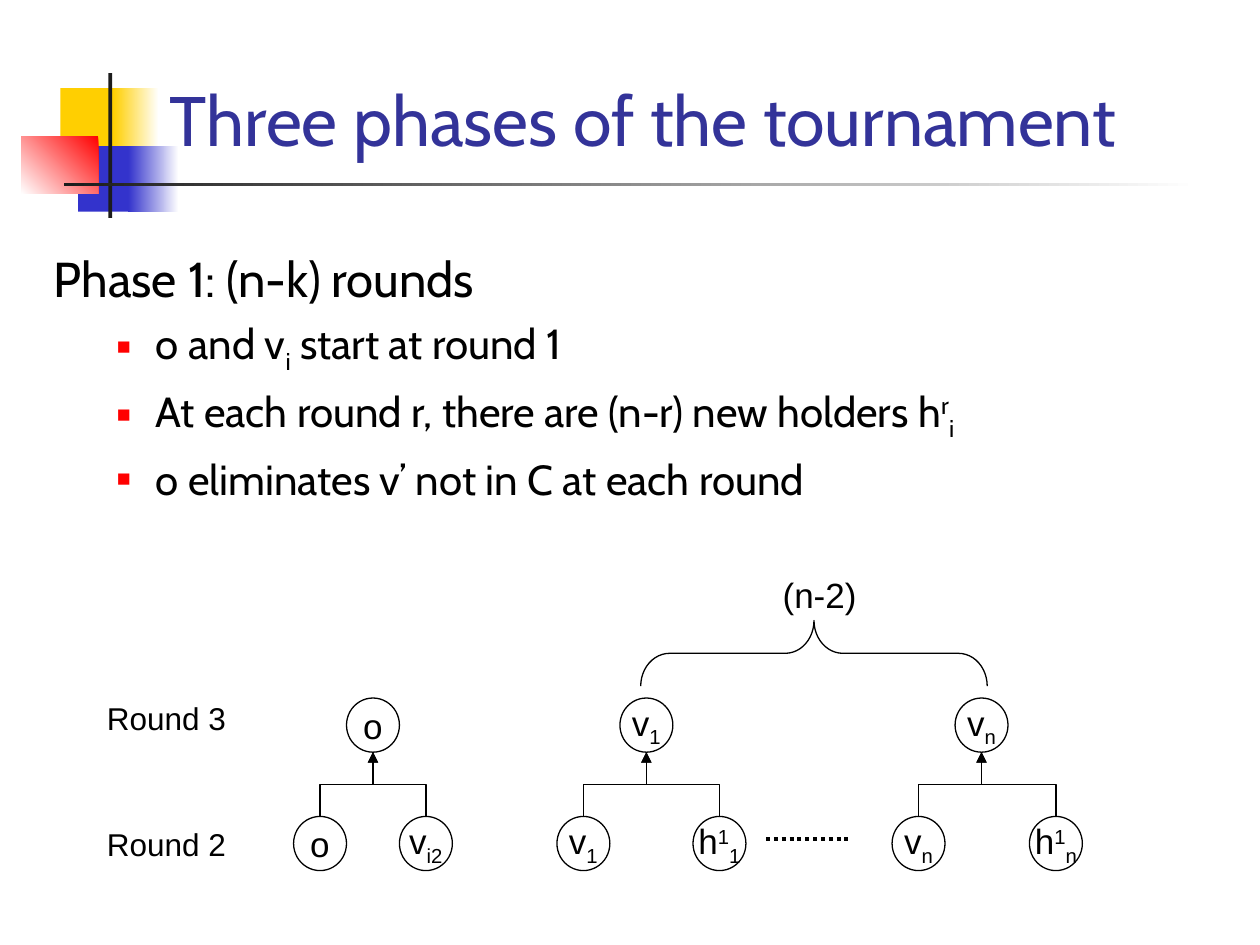
from lxml import etree
from pptx import Presentation
from pptx.dml.color import RGBColor
from pptx.enum.dml import MSO_LINE
from pptx.enum.shapes import MSO_CONNECTOR, MSO_SHAPE
from pptx.enum.text import MSO_ANCHOR, PP_ALIGN
from pptx.oxml.ns import qn
from pptx.util import Inches, Pt

RECTANGLE, OVAL, BRACE = MSO_SHAPE.RECTANGLE, MSO_SHAPE.OVAL, MSO_SHAPE.LEFT_BRACE
STRAIGHT, ELBOW = MSO_CONNECTOR.STRAIGHT, MSO_CONNECTOR.ELBOW
DOTTED = MSO_LINE.ROUND_DOT
TOP, MIDDLE, BOTTOM = MSO_ANCHOR.TOP, MSO_ANCHOR.MIDDLE, MSO_ANCHOR.BOTTOM
LEFT, CENTER = PP_ALIGN.LEFT, PP_ALIGN.CENTER

COLORS = {
    "text": "000000", "title": "333399", "bullet": "FF0000", "white": "FFFFFF",
    "yellow": "FFCF01", "blue": "3333CC", "red": "FF0000", "bar": "1C1C1C",
}
HEADING_FONT, LABEL_FONT = "Cabin", "Arial"
SUB, SUPER = -25000, 30000

NODE_WIDTH, NODE_HEIGHT = 0.42, 0.43
ROUND_3_TOP, ROUND_2_TOP = 5.54, 6.48

V1 = [("v", 0), ("1", SUB)]
VN = [("v", 0), ("n", SUB)]
# Winner, left player, right player: each is (left edge, text runs)
MATCHES = [
    ((2.75, [("o", 0)]), (2.33, [("o", 0)]), (3.17, [("v", 0), ("i2", SUB)])),
    ((4.92, V1), (4.42, V1), (5.5, [("h", 0), ("1", SUPER), ("1", SUB)])),
    ((7.58, VN), (7.08, VN), (8.17, [("h", 0), ("1", SUPER), ("n", SUB)])),
]
POINTS = [
    [("o and v", 0), ("i", SUB), (" start at round 1", 0)],
    [("At each round r, there are (n-r) new holders h", 0), ("r", SUPER), ("i", SUB)],
    [("o eliminates v’ not in C at each round", 0)],
]


def rgb(name):
    return RGBColor.from_string(COLORS[name])


class Painter:
    def __init__(self, page):
        self.page = page

    def block(self, left, top, width, height, color):
        box = self.page.shapes.add_shape(
            RECTANGLE, Inches(left), Inches(top), Inches(width), Inches(height))
        box.shadow.inherit = False
        box.line.fill.background()
        box.fill.solid()
        box.fill.fore_color.rgb = rgb(color)
        return box

    def fade(self, left, top, width, height, start, end, angle=180):
        box = self.block(left, top, width, height, start)
        box.fill.gradient()
        box.fill.gradient_angle = angle
        for stop, color in zip(box.fill.gradient_stops, (start, end)):
            stop.color.rgb = rgb(color)

    def outline(self, kind, left, top, width, height):
        shape = self.page.shapes.add_shape(
            kind, Inches(left), Inches(top), Inches(width), Inches(height))
        shape.shadow.inherit = False
        shape.fill.background()
        shape.line.color.rgb = rgb("text")
        shape.line.width = Pt(0.75)
        return shape

    def add_runs(self, para, runs, size, font=LABEL_FONT, color="text"):
        for text, baseline in runs:
            span = para.add_run()
            span.text = text
            span.font.size = Pt(size)
            span.font.name = font
            span.font.color.rgb = rgb(color)
            if baseline:
                span._r.get_or_add_rPr().set("baseline", str(baseline))

    def frame(self, left, top, width, height, anchor=TOP):
        box = self.page.shapes.add_textbox(
            Inches(left), Inches(top), Inches(width), Inches(height))
        box.text_frame.word_wrap = True
        box.text_frame.vertical_anchor = anchor
        return box.text_frame

    def label(self, left, top, width, height, text, size, align=LEFT):
        para = self.frame(left, top, width, height).paragraphs[0]
        para.alignment = align
        self.add_runs(para, [(text, 0)], size)

    def bullet(self, para):
        properties = para._p.get_or_add_pPr()
        properties.set("marL", str(Inches(0.81)))
        properties.set("indent", str(Inches(-0.31)))
        para.space_before = Pt(6)
        color = etree.SubElement(properties, qn("a:buClr"))
        etree.SubElement(color, qn("a:srgbClr"), val=COLORS["bullet"])
        etree.SubElement(properties, qn("a:buSzPct"), val="55000")
        etree.SubElement(properties, qn("a:buFont"), typeface=LABEL_FONT)
        etree.SubElement(properties, qn("a:buChar"), char="■")

    def node(self, left, top, runs):
        frame = self.outline(OVAL, left, top, NODE_WIDTH, NODE_HEIGHT).text_frame
        frame.word_wrap = False
        frame.vertical_anchor = MIDDLE
        frame.paragraphs[0].alignment = CENTER
        self.add_runs(frame.paragraphs[0], runs, 20)

    def connector(self, kind, x1, y1, x2, y2, width=0.75):
        line = self.page.shapes.add_connector(
            kind, Inches(x1), Inches(y1), Inches(x2), Inches(y2))
        line.line.color.rgb = rgb("text")
        line.line.width = Pt(width)
        etree.SubElement(line._element.spPr, qn("a:effectLst"))
        return line

    def rising_elbow(self, x1, y1, x2, y2):
        """Draw an up-across-up arrow: a sideways elbow given a quarter turn."""
        center_x, center_y = (x1 + x2) / 2, (y1 + y2) / 2
        half_run, half_rise = abs(x2 - x1) / 2, (y1 - y2) / 2
        side, turn = (1, 90) if x1 < x2 else (-1, 270)
        arrow = self.connector(
            ELBOW, center_x + side * half_rise, center_y + half_run,
            center_x - side * half_rise, center_y - half_run)
        properties = arrow._element.spPr
        properties.find(qn("a:xfrm")).set("rot", str(turn * 60000))
        etree.SubElement(properties.find(qn("a:ln")), qn("a:tailEnd"), type="triangle")

    def match(self, winner, *players):
        self.node(winner[0], ROUND_3_TOP, winner[1])
        for left, runs in players:
            self.node(left, ROUND_2_TOP, runs)
            self.rising_elbow(left + NODE_WIDTH / 2, ROUND_2_TOP,
                              winner[0] + NODE_WIDTH / 2, ROUND_3_TOP + NODE_HEIGHT)


def main():
    deck = Presentation()
    deck.slide_width, deck.slide_height = Inches(10), Inches(7.5)
    page = deck.slides.add_slide(deck.slide_layouts[6])
    painter = Painter(page)

    painter.block(0.48, 0.7, 0.48, 0.52, "yellow")
    painter.fade(0.9, 0.7, 0.36, 0.52, "white", "yellow")
    painter.block(0.62, 1.16, 0.46, 0.52, "blue")
    painter.fade(1.02, 1.16, 0.4, 0.52, "white", "blue")
    painter.fade(0.17, 1.08, 0.61, 0.46, "red", "white", 225)
    painter.block(0.86, 0.58, 0.03, 1.15, "bar")
    painter.fade(0.51, 1.45, 9, 0.03, "white", "bar")

    title = painter.frame(1.25, 0.33, 8.52, 0.99, BOTTOM)
    painter.add_runs(title.paragraphs[0], [("Three phases of the tournament", 0)],
                     40, HEADING_FONT, "title")

    body = painter.frame(0.33, 1.92, 9.67, 5.25)
    painter.add_runs(body.paragraphs[0], [("Phase 1: (n-k) rounds", 0)], 28, HEADING_FONT)
    for runs in POINTS:
        para = body.add_paragraph()
        para.level = 1
        painter.bullet(para)
        painter.add_runs(para, runs, 24, HEADING_FONT)

    for match in MATCHES:
        painter.match(*match)
    dots = painter.connector(STRAIGHT, 6.08, 6.66, 6.75, 6.66, 2.25)
    dots.line.dash_style = DOTTED

    brace = painter.outline(BRACE, 6.2, 3.81, 0.52, 2.75)
    brace.rotation = 90
    brace.adjustments[0] = 0.44
    painter.label(5.92, 4.5, 1.17, 0.44, "(n-2)", 20, CENTER)
    for number, top in ((2, 6.5), (3, 5.5)):
        painter.label(0.75, top, 1.5, 0.4, f"Round {number}", 18)

    deck.save("out.pptx")


if __name__ == "__main__":
    main()
